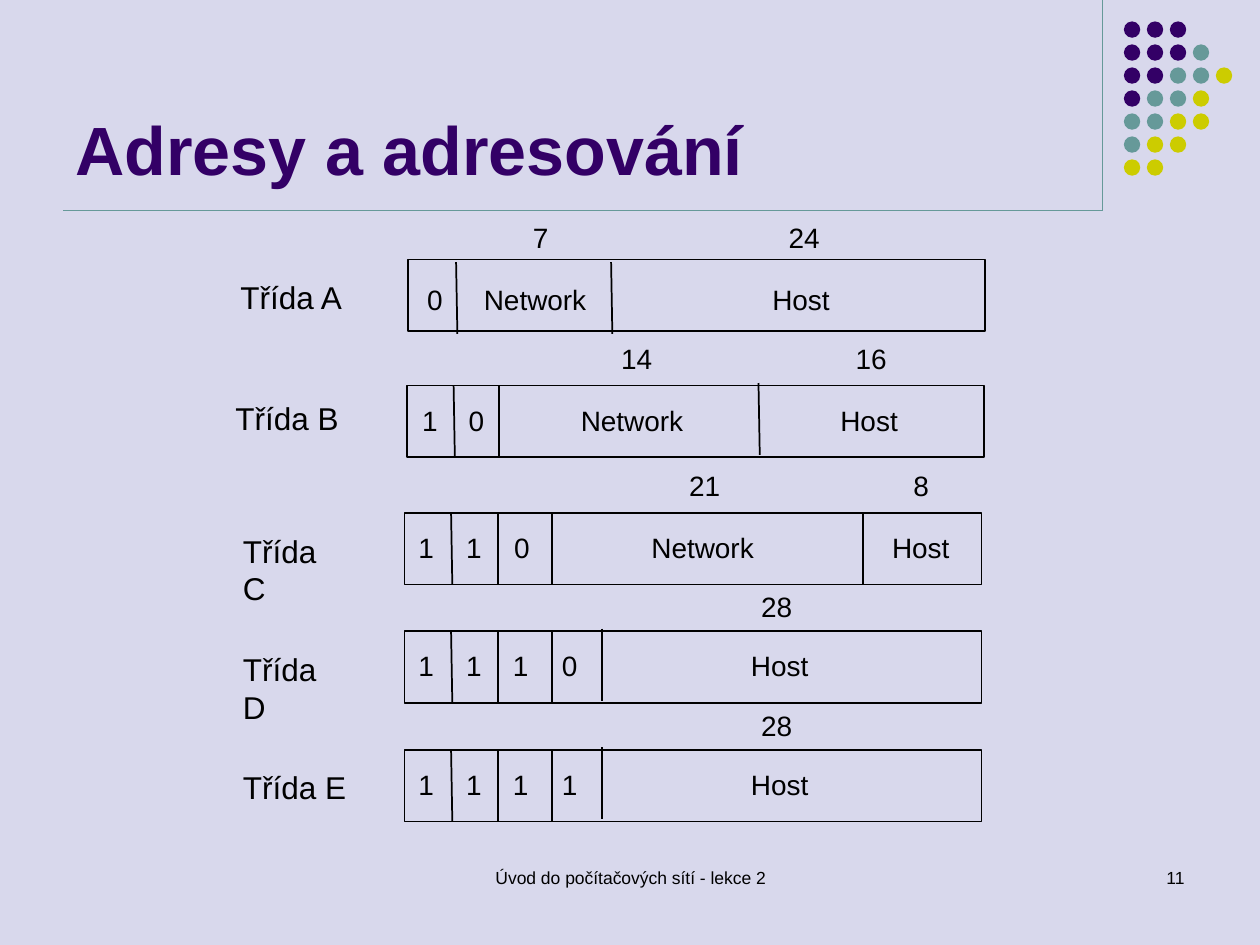
"""Build the slide that compares the five IP address classes field by field."""
from dataclasses import dataclass

from lxml.etree import SubElement
from pptx import Presentation
from pptx.dml.color import RGBColor as Rgb
from pptx.enum.shapes import MSO_CONNECTOR as Connector, MSO_SHAPE as Preset
from pptx.enum.text import MSO_ANCHOR as Anchor, MSO_AUTO_SIZE as AutoSize, PP_ALIGN as Align
from pptx.oxml.ns import qn
from pptx.util import Inches, Pt


@dataclass(frozen=True)
class Theme:
    font: str = "Arial"
    paper: str = "D8D8EC"
    ink: str = "000000"
    purple: str = "330066"
    teal: str = "669999"
    lime: str = "CCCC00"
    title: int = 39
    label: int = 18
    field: int = 16
    footer: int = 10
    rule: float = 0.75
    frame: float = 1


@dataclass
class AddressClass:
    name: str
    label_at: tuple
    frame_at: tuple
    field_top: float
    size_top: float
    fields: list
    sizes: list
    dividers: list


THEME = Theme()
FRAME_WIDTH, FRAME_HEIGHT = 4.58, 0.57
FIELD_HEIGHT = 0.27
DIGIT_WIDTH = 0.13
WORD_WIDTHS = {"Network": 0.82, "Host": 0.47}
DOT_SIZE, DOT_PITCH, DOT_ORIGIN = 0.13, 0.73 / 4, (8.92, 0.17)
DOT_ROWS = ["PPP", "PPPT", "PPTTL", "PTTL", "TTLL", "TLL", "LL"]
DOT_COLORS = {"P": THEME.purple, "T": THEME.teal, "L": THEME.lime}

PREFIX_LEFTS = [3.32, 3.7, 4.07, 4.46]
PREFIX_DIVIDERS = [(3.58, 0, 0.01), (3.95, 0, 0), (4.38, 0, 0)]


def host_only(name, top, prefix):
    """Describe a class whose four prefix bits are followed by a host field."""
    return AddressClass(
        name, (1.83, top + 0.1), (3.21, top), top + 0.14, top - 0.33,
        [*zip(prefix, PREFIX_LEFTS), ("Host", 5.96)], [("28", 6.04)],
        [*PREFIX_DIVIDERS, (4.78, -0.02, 0)])


CLASSES = [
    AddressClass("Třída A", (1.81, 2.16), (3.24, 2.06), 2.24, 1.75,
                 [("0", 3.39), ("Network", 3.84), ("Host", 6.13)],
                 [("7", 4.23), ("24", 6.26)],
                 [(3.62, 0.02, 0.01), (4.85, 0.02, 0.01)]),
    AddressClass("Třída B", (1.77, 3.12), (3.23, 3.06), 3.2, 2.71,
                 [("1", 3.35), ("0", 3.72), ("Network", 4.61), ("Host", 6.67)],
                 [("14", 4.93), ("16", 6.79)],
                 [(3.6, 0, 0.01), (3.96, 0, 0), (6.02, -0.02, 0.01)]),
    AddressClass("Třída C", (1.83, 4.17), (3.21, 4.07), 4.21, 3.72,
                 [("1", 3.32), ("1", 3.7), ("0", 4.08), ("Network", 5.17), ("Host", 7.08)],
                 [("21", 5.47), ("8", 7.25)],
                 [*PREFIX_DIVIDERS, (6.85, 0, 0)]),
    host_only("Třída D", 5.01, "1110"),
    host_only("Třída E", 5.95, "1111"),
]


def write(frame, text, *, size, color=THEME.ink, bold=False, align=Align.LEFT,
          anchor=Anchor.TOP, wrap=True, inset=(0.1, 0.05)):
    """Put one formatted paragraph into a text frame."""
    frame.word_wrap = wrap
    frame.auto_size = AutoSize.NONE if wrap else AutoSize.SHAPE_TO_FIT_TEXT
    frame.vertical_anchor = anchor
    frame.margin_left = frame.margin_right = Inches(inset[0])
    frame.margin_top = frame.margin_bottom = Inches(inset[1])
    paragraph = frame.paragraphs[0]
    paragraph.text = text
    paragraph.alignment = align
    paragraph.font.name = THEME.font
    paragraph.font.size = Pt(size)
    paragraph.font.bold = bold
    paragraph.font.color.rgb = Rgb.from_string(color)


class SlideBuilder:
    """Draw the elements of one slide in a shared style."""

    def __init__(self, slide, theme):
        self.shapes = slide.shapes
        self.theme = theme
        slide.background.fill.solid()
        slide.background.fill.fore_color.rgb = Rgb.from_string(theme.paper)

    def text(self, text, left, top, width, height, **style):
        box = self.shapes.add_textbox(*map(Inches, (left, top, width, height)))
        write(box.text_frame, text, **style)

    def line(self, start, end, color, weight):
        line = self.shapes.add_connector(Connector.STRAIGHT, *map(Inches, (*start, *end)))
        line.line.color.rgb = Rgb.from_string(color)
        line.line.width = Pt(weight)
        SubElement(line._element.spPr, qn("a:effectLst"))

    def dot(self, left, top, color):
        dot = self.shapes.add_shape(
            Preset.OVAL, *map(Inches, (left, top, DOT_SIZE, DOT_SIZE)))
        dot.shadow.inherit = False
        dot.fill.solid()
        dot.fill.fore_color.rgb = Rgb.from_string(color)
        dot.line.fill.background()

    def frame(self, left, top):
        frame = self.shapes.add_shape(
            Preset.RECTANGLE, *map(Inches, (left, top, FRAME_WIDTH, FRAME_HEIGHT)))
        frame.shadow.inherit = False
        frame.fill.background()
        frame.line.color.rgb = Rgb.from_string(self.theme.ink)
        frame.line.width = Pt(self.theme.frame)

    def field(self, text, left, top):
        width = WORD_WIDTHS.get(text, DIGIT_WIDTH * len(text))
        self.text(text, left, top, width, FIELD_HEIGHT,
                  size=self.theme.field, wrap=False, inset=(0, 0))

    def address_class(self, row):
        self.text(row.name, *row.label_at, 1.03, 0.4, size=self.theme.label, wrap=False)
        self.frame(*row.frame_at)
        for x, shift, slant in row.dividers:
            top = row.frame_at[1] + shift
            self.line((x, top), (x + slant, top + FRAME_HEIGHT),
                      self.theme.ink, self.theme.frame)
        for text, left in row.fields:
            self.field(text, left, row.field_top)
        for bits, left in row.sizes:
            self.field(bits, left, row.size_top)

    def decoration(self):
        corner = (8.75, 1.67)
        for start in ((8.75, 0), (0.5, 1.67)):
            self.line(start, corner, self.theme.teal, self.theme.rule)
        left, top = DOT_ORIGIN
        for row, colors in enumerate(DOT_ROWS):
            for column, color in enumerate(colors):
                self.dot(left + column * DOT_PITCH, top + row * DOT_PITCH, DOT_COLORS[color])


def main():
    """Assemble and save the presentation."""
    deck = Presentation()
    deck.slide_width, deck.slide_height = Inches(10), Inches(7.5)
    builder = SlideBuilder(deck.slides.add_slide(deck.slide_layouts[6]), THEME)
    builder.decoration()
    builder.text("Adresy a adresování", 0.5, 0.13, 8.25, 1.42, size=THEME.title,
                 color=THEME.purple, bold=True, anchor=Anchor.BOTTOM)
    for row in CLASSES:
        builder.address_class(row)
    builder.text("Úvod do počítačových sítí - lekce 2", 3.42, 6.83, 3.17, 0.5,
                 size=THEME.footer, align=Align.CENTER)
    builder.text("11", 7.17, 6.83, 2.33, 0.5, size=THEME.footer, align=Align.RIGHT)
    deck.save("out.pptx")


if __name__ == "__main__":
    main()
